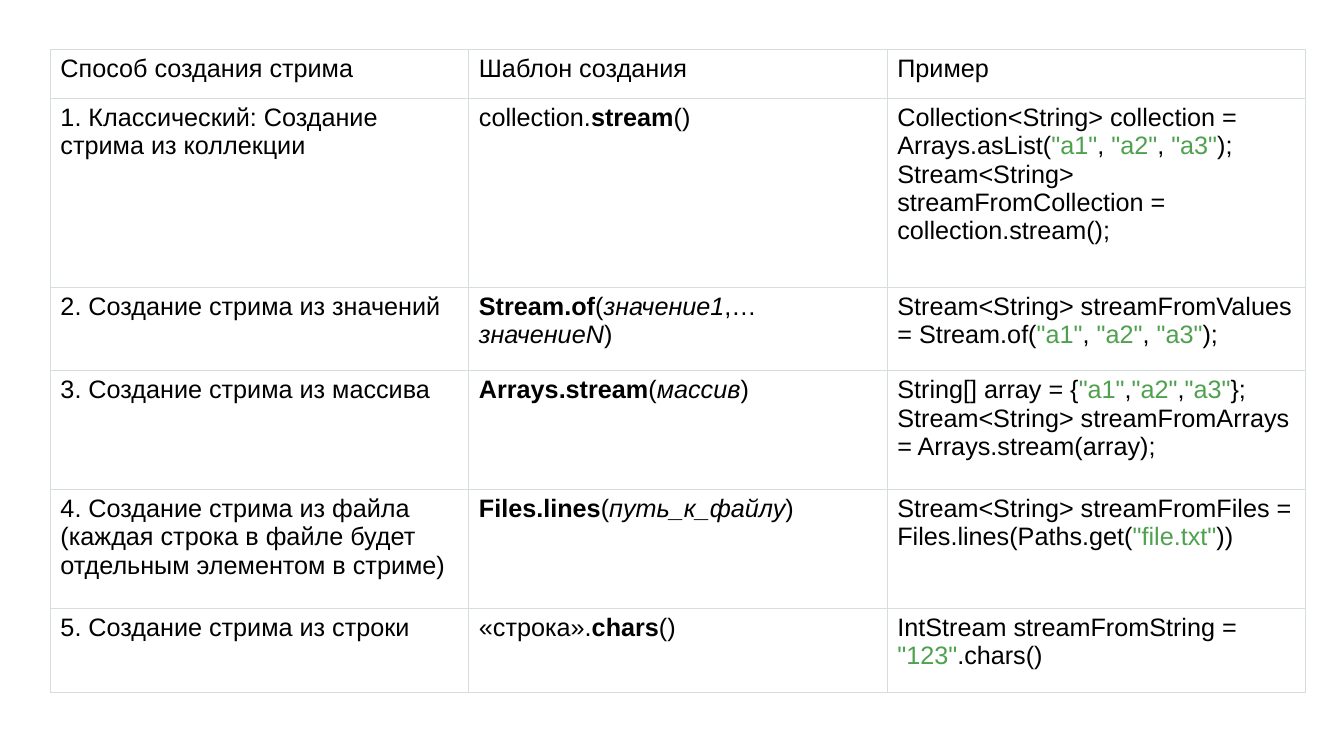
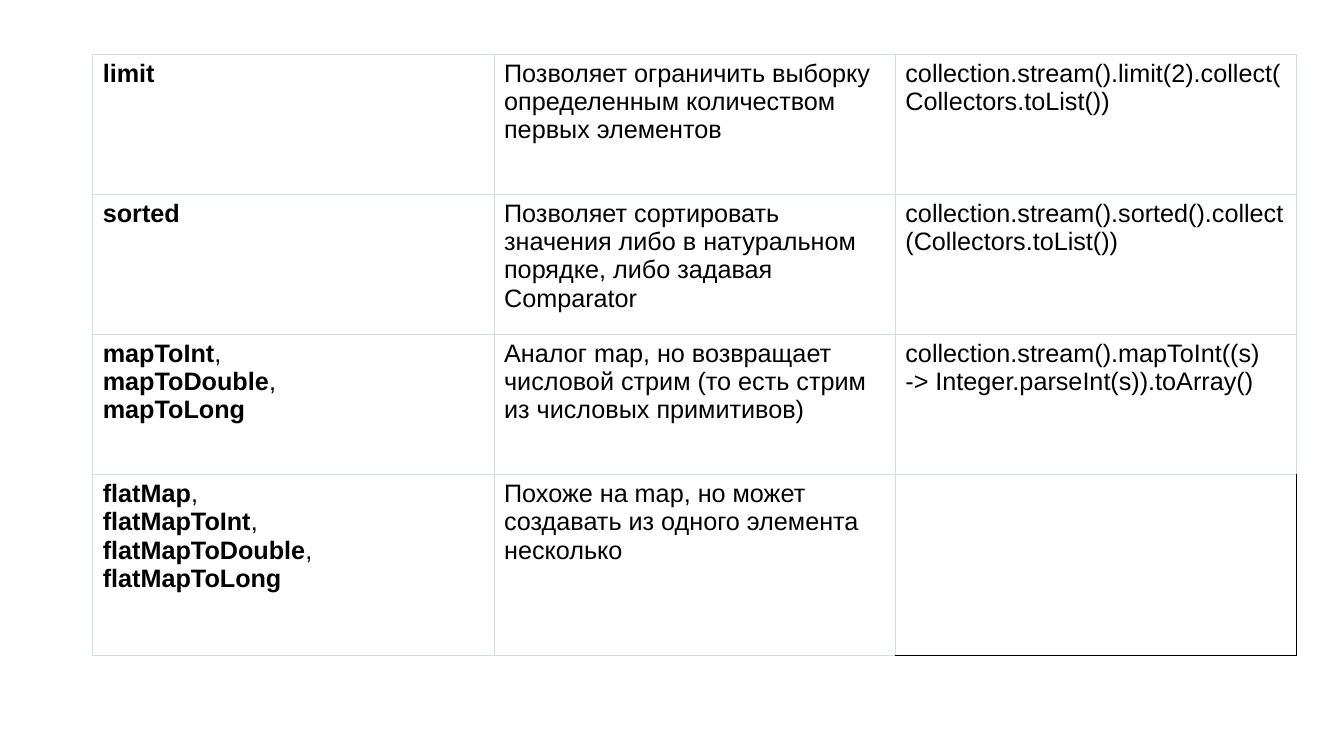
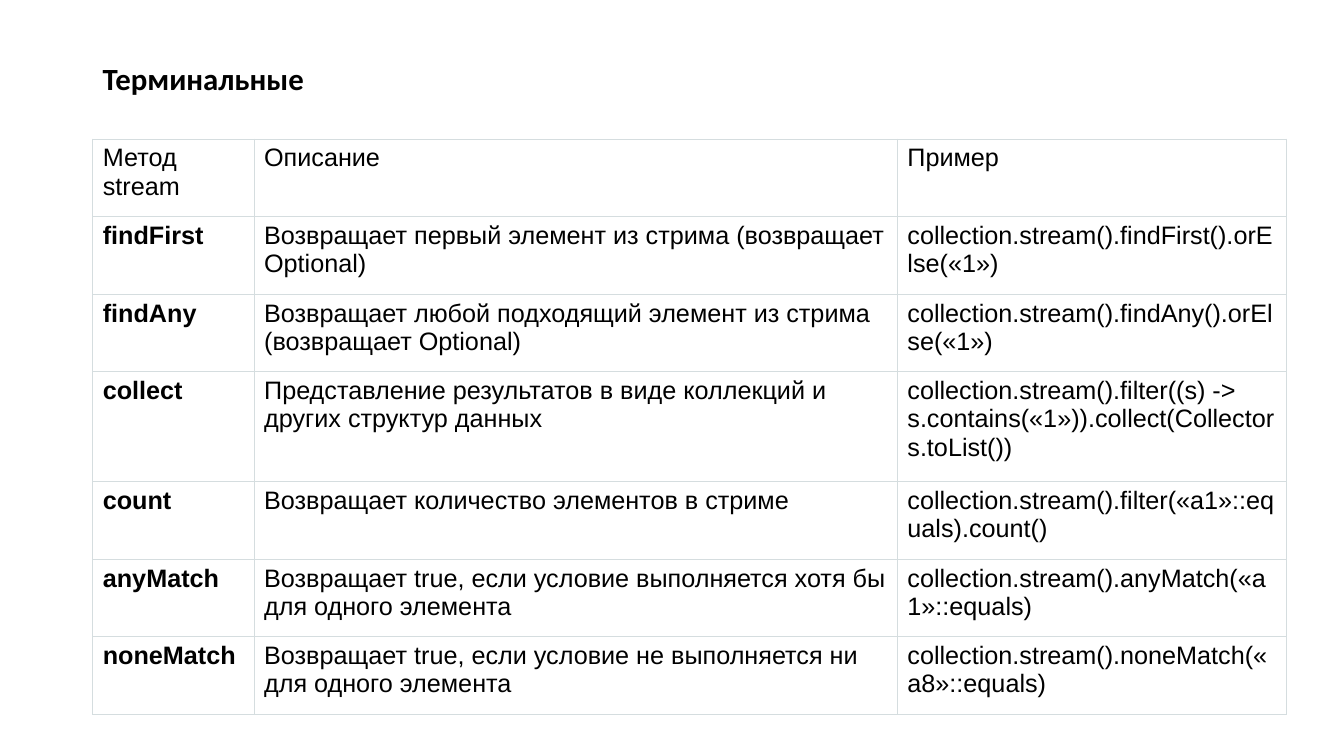
"""Build three slides of tables about Java streams."""
from lxml import etree
from pptx import Presentation
from pptx import util as u
from pptx.dml.color import RGBColor
from pptx.enum import text
from pptx.oxml import ns

BLACK, GREEN, GRID = "000000", "50A14F", "D5DDDF"
BODY_FONT, TITLE_FONT = "Arial", "Calibri"
BODY_SIZE, TITLE_SIZE = 18, 22
GRID_WIDTH, OUTER_WIDTH = 0.75, 1
BOLD, ITALIC, PLAIN = "bold", "italic", "plain"
BREAK = ("\n", PLAIN)

CREATION_ROWS = [
    ["Способ создания стрима", "Шаблон создания", "Пример"],
    ["1. Классический: Создание стрима из коллекции",
     [("collection.", PLAIN), ("stream", BOLD), ("()", PLAIN)],
     'Collection<String> collection = Arrays.asList("a1", "a2", "a3"); '
     "Stream<String> streamFromCollection = collection.stream();"],
    ["2. Создание стрима из значений",
     [("Stream.of", BOLD), ("(", PLAIN), ("значение1", ITALIC), (",… ", PLAIN),
      ("значениеN", ITALIC), (")", PLAIN)],
     'Stream<String> streamFromValues = Stream.of("a1", "a2", "a3");'],
    ["3. Создание стрима из массива",
     [("Arrays.stream", BOLD), ("(", PLAIN), ("массив", ITALIC), (")", PLAIN)],
     'String[] array = {"a1","a2","a3"}; '
     "Stream<String> streamFromArrays = Arrays.stream(array);"],
    ["4. Создание стрима из файла (каждая строка в файле будет "
     "отдельным элементом в стриме)",
     [("Files.lines", BOLD), ("(", PLAIN), ("путь_к_файлу", ITALIC), (")", PLAIN)],
     'Stream<String> streamFromFiles = Files.lines(Paths.get("file.txt"))'],
    ["5. Создание стрима из строки",
     [("«строка».", PLAIN), ("chars", BOLD), ("()", PLAIN)],
     'IntStream streamFromString = "123".chars()'],
]

INTERMEDIATE_ROWS = [
    [[("limit", BOLD)],
     "Позволяет ограничить выборку определенным количеством первых элементов",
     "collection.stream().limit(2).collect(Collectors.toList())"],
    [[("sorted", BOLD)],
     "Позволяет сортировать значения либо в натуральном порядке, "
     "либо задавая Comparator",
     "collection.stream().sorted().collect(Collectors.toList())"],
    [[("mapToInt", BOLD), (", ", PLAIN), BREAK, ("mapToDouble", BOLD),
      (", ", PLAIN), BREAK, ("mapToLong", BOLD)],
     "Аналог map, но возвращает числовой стрим "
     "(то есть стрим из числовых примитивов)",
     "collection.stream().mapToInt((s) -> Integer.parseInt(s)).toArray()"],
    [[("flatMap", BOLD), (",", PLAIN), BREAK, ("flatMapToInt", BOLD),
      (",", PLAIN), BREAK, ("flatMapToDouble", BOLD), (",", PLAIN), BREAK,
      ("flatMapToLong", BOLD)],
     "Похоже на map, но может создавать из одного элемента несколько",
     ""],
]

TERMINAL_ROWS = [
    ["Метод stream", "Описание", "Пример"],
    [[("findFirst", BOLD)],
     "Возвращает первый элемент из стрима (возвращает Optional)",
     "collection.stream().findFirst().orElse(«1»)"],
    [[("findAny", BOLD)],
     "Возвращает любой подходящий элемент из стрима (возвращает Optional)",
     "collection.stream().findAny().orElse(«1»)"],
    [[("collect", BOLD)],
     "Представление результатов в виде коллекций и других структур данных",
     "collection.stream().filter((s) -> s.contains(«1»)).collect(Collectors.toList())"],
    [[("count", BOLD)],
     "Возвращает количество элементов в стриме",
     "collection.stream().filter(«a1»::equals).count()"],
    [[("anyMatch", BOLD)],
     "Возвращает true, если условие выполняется хотя бы для одного элемента",
     "collection.stream().anyMatch(«a1»::equals)"],
    [[("noneMatch", BOLD)],
     "Возвращает true, если условие не выполняется ни для одного элемента",
     "collection.stream().noneMatch(«a8»::equals)"],
]

SLIDES = [
    {"rows": CREATION_ROWS, "corner": (0.5, 0.49), "widths": [4.15] * 3,
     "heights": [0.49, 1.87, 0.83, 1.18, 1.18, 0.83]},
    {"rows": INTERMEDIATE_ROWS, "corner": (0.92, 0.54), "widths": [3.98] * 3,
     "heights": [1.39] * 3 + [1.79]},
    {"rows": TERMINAL_ROWS, "corner": (0.92, 1.38), "widths": [1.6, 6.38, 3.86],
     "heights": [0.77] * 3 + [1.09] + [0.77] * 3,
     "title": "Терминальные", "title_box": (0.92, 0.4, 4.13, 0.8)},
]


def add_run(paragraph, words, style=PLAIN, color=BLACK, font=BODY_FONT, size=BODY_SIZE):
    run = paragraph.add_run()
    run.text = words
    run.font.name = font
    run.font.size = u.Pt(size)
    run.font.bold = style == BOLD
    run.font.italic = style == ITALIC
    run.font.color.rgb = RGBColor.from_string(color)


def write_cell(paragraph, content):
    runs = [(content, PLAIN)] if isinstance(content, str) else content
    for words, style in runs:
        if words == "\n":
            paragraph.add_line_break()
            continue
        for order, part in enumerate(words.split('"')):
            quoted = order % 2 == 1
            if part:
                add_run(paragraph, f'"{part}"' if quoted else part, style,
                        GREEN if quoted else BLACK)


def draw_borders(cell, empty):
    properties = cell._tc.get_or_add_tcPr()
    for order, side in enumerate(("lnL", "lnR", "lnT", "lnB")):
        outer = empty and side in ("lnR", "lnB")
        width = OUTER_WIDTH if outer else GRID_WIDTH
        border = etree.Element(ns.qn(f"a:{side}"), w=str(int(u.Pt(width))))
        fill = etree.SubElement(border, ns.qn("a:solidFill"))
        etree.SubElement(fill, ns.qn("a:srgbClr"), val=BLACK if outer else GRID)
        properties.insert(order, border)


def add_grid(slide, rows, corner, widths, heights):
    place = [u.Inches(n) for n in (*corner, sum(widths), sum(heights))]
    grid = slide.shapes.add_table(len(rows), len(widths), *place).table
    grid.first_row = grid.horz_banding = False
    for column, width in zip(grid.columns, widths):
        column.width = u.Inches(width)
    for row, height, contents in zip(grid.rows, heights, rows):
        row.height = u.Inches(height)
        for cell, content in zip(row.cells, contents):
            cell.fill.background()
            draw_borders(cell, not content)
            write_cell(cell.text_frame.paragraphs[0], content)


def add_title(slide, title, box):
    frame = slide.shapes.add_textbox(*[u.Inches(n) for n in box]).text_frame
    frame.word_wrap = True
    frame.vertical_anchor = text.MSO_ANCHOR.MIDDLE
    heading = frame.paragraphs[0]
    heading.line_spacing = 0.9
    add_run(heading, title, BOLD, font=TITLE_FONT, size=TITLE_SIZE)


deck = Presentation()
deck.slide_width, deck.slide_height = u.Inches(13.33), u.Inches(7.5)
for page in SLIDES:
    slide = deck.slides.add_slide(deck.slide_layouts[6])
    if "title" in page:
        add_title(slide, page["title"], page["title_box"])
    add_grid(slide, page["rows"], page["corner"], page["widths"], page["heights"])
deck.save("out.pptx")
